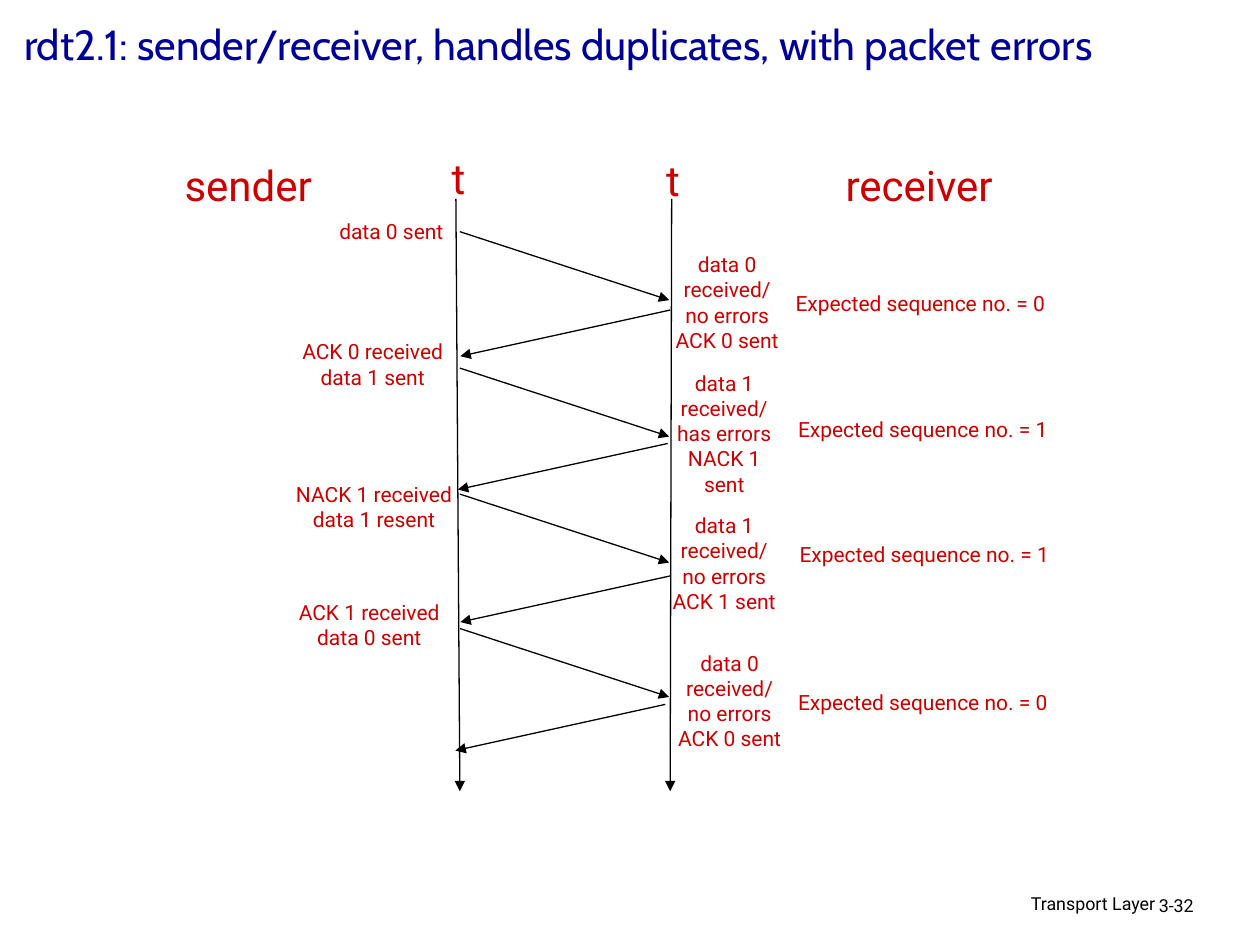
import pptx
import pptx.dml.color
import pptx.enum.shapes
import pptx.enum.text
import pptx.oxml
import pptx.oxml.ns
import pptx.util
from dataclasses import dataclass

Cm = pptx.util.Cm
Pt = pptx.util.Pt
Align = pptx.enum.text.PP_ALIGN
Anchor = pptx.enum.text.MSO_ANCHOR
Fit = pptx.enum.text.MSO_AUTO_SIZE


@dataclass(frozen=True)
class Theme:
    blue: str = "000099"
    red: str = "CC0000"
    black: str = "000000"
    head: str = "Cabin"
    body: str = "Roboto"
    big: float = 24
    small: float = 12
    foot: float = 10.2
    thin: float = 0.75


LOOK = Theme()
LEFT, RIGHT = 9.27, 13.51  # time axes of sender and receiver
TOP, END = 4.01, 15.95
LINE = 0.51  # height of one small text line
PAD = 0.25


def apply(obj, values):
    for name, value in values.items():
        setattr(obj, name, value)


def style(para, size, color, face, align, gap=None):
    apply(para, {"alignment": align, "line_spacing": gap})
    apply(para.font, {"size": Pt(size), "name": face})
    para.font.color.rgb = pptx.dml.color.RGBColor.from_string(color)


def add_text(slide, x, y, wide, high, lines, size=LOOK.small, color=LOOK.red,
             align=Align.CENTER, wrap=False, gap=None, fit=Fit.SHAPE_TO_FIT_TEXT):
    box = slide.shapes.add_textbox(Cm(x), Cm(y), Cm(wide), Cm(high))
    frame = box.text_frame
    frame.text = "\n".join(lines)
    apply(frame, {"word_wrap": wrap, "auto_size": fit})
    for para in frame.paragraphs:
        style(para, size, color, LOOK.body, align, gap)


def add_note(slide, x, y, wide, lines, rows=None, wrap=False):
    high = (rows or len(lines)) * LINE + PAD
    add_text(slide, x, y, wide, high, lines, wrap=wrap)


def add_arrow(slide, x, y, to_x, to_y):
    kind = pptx.enum.shapes.MSO_CONNECTOR.STRAIGHT
    arrow = slide.shapes.add_connector(kind, Cm(x), Cm(y), Cm(to_x), Cm(to_y))
    arrow.line.width = Pt(LOOK.thin)
    arrow.line.color.rgb = pptx.dml.color.RGBColor.from_string(LOOK.black)
    space = pptx.oxml.ns.nsdecls("a")
    tip = pptx.oxml.parse_xml(f'<a:tailEnd {space} type="triangle"/>')
    arrow.line._get_or_add_ln().append(tip)
    arrow._element.spPr.append(pptx.oxml.parse_xml(f"<a:effectLst {space}/>"))


def add_title(slide, words):
    title = slide.shapes.title
    apply(title, {"left": Cm(0.23), "top": Cm(-0.2),
                  "width": Cm(25.17), "height": Cm(2.16)})
    frame = title.text_frame
    frame.text = words
    apply(frame, {"vertical_anchor": Anchor.MIDDLE, "word_wrap": True,
                  "auto_size": Fit.NONE})
    style(frame.paragraphs[0], LOOK.big, LOOK.blue, LOOK.head, Align.LEFT)


def add_axes(slide):
    add_arrow(slide, 9.19, TOP, LEFT, END)
    add_arrow(slide, 13.54, TOP, RIGHT, END)
    for x, y, wide, word in [(3.38, 3.1, 3.25, "sender"),
                             (16.69, 3.1, 3.68, "receiver"),
                             (8.84, 2.95, 0.81, "t"),
                             (13.16, 3, 0.81, "t")]:
        add_text(slide, x, y, wide, 1.27, [word], LOOK.big)


def add_legs(slide):
    # Data goes right, replies go left, each with a constant slope
    for y in (4.67, 7.42, 9.96, 12.67):
        add_arrow(slide, LEFT, y, RIGHT - 0.02, y + 1.38)
    for x, y in [(RIGHT, 6.25), (13.46, 8.94), (RIGHT, 11.61), (13.41, 14.2)]:
        add_arrow(slide, x, y, x - 4.23, y + 0.93)


def add_notes(slide):
    # Sender events
    for x, y, wide, lines in [
            (6.53, 4.29, 2.72, ["data 0 sent"]),
            (5.79, 6.71, 3.45, ["ACK 0 received", "data 1 sent"]),
            (5.66, 9.58, 3.76, ["NACK 1 received", "data 1 resent"]),
            (5.72, 11.96, 3.45, ["ACK 1 received", "data 0 sent"])]:
        add_note(slide, x, y, wide, lines)

    # Receiver events
    for x, y, wide, bit, state, reply, rows in [
            (13.34, 4.95, 2.64, 0, "no", "ACK", 4),
            (13.23, 7.34, 2.74, 1, "has", "NACK", 5),
            (13.23, 10.21, 2.74, 1, "no", "ACK", 4),
            (13.34, 12.98, 2.74, 0, "no", "ACK", 4)]:
        lines = [f"data {bit} received/", f"{state} errors", f"{reply} {bit} sent"]
        add_note(slide, x, y, wide, lines, rows, wrap=True)

    # Receiver state
    for x, y, bit in [(15.67, 5.74, 0), (15.72, 8.28, 1),
                      (15.75, 10.8, 1), (15.72, 13.77, 0)]:
        add_note(slide, x, y, 5.77, [f"Expected sequence no. = {bit}"])


def add_foot(slide):
    for x, y, wide, word, align in [
            (15.49, 17.91, 8.05, "Transport Layer", Align.RIGHT),
            (23.11, 17.96, 1.88, "3-32", Align.LEFT)]:
        add_text(slide, x, y, wide, 0.78, [word], LOOK.foot, LOOK.black,
                 align, wrap=True, gap=0.9, fit=Fit.NONE)


def main():
    deck = pptx.Presentation()
    apply(deck, {"slide_width": Cm(25.4), "slide_height": Cm(19.05)})
    slide = deck.slides.add_slide(deck.slide_layouts[5])
    add_title(slide, "rdt2.1: sender/receiver, handles duplicates, with packet errors")
    add_axes(slide)
    add_legs(slide)
    add_notes(slide)
    add_foot(slide)
    deck.save("out.pptx")


if __name__ == "__main__":
    main()
